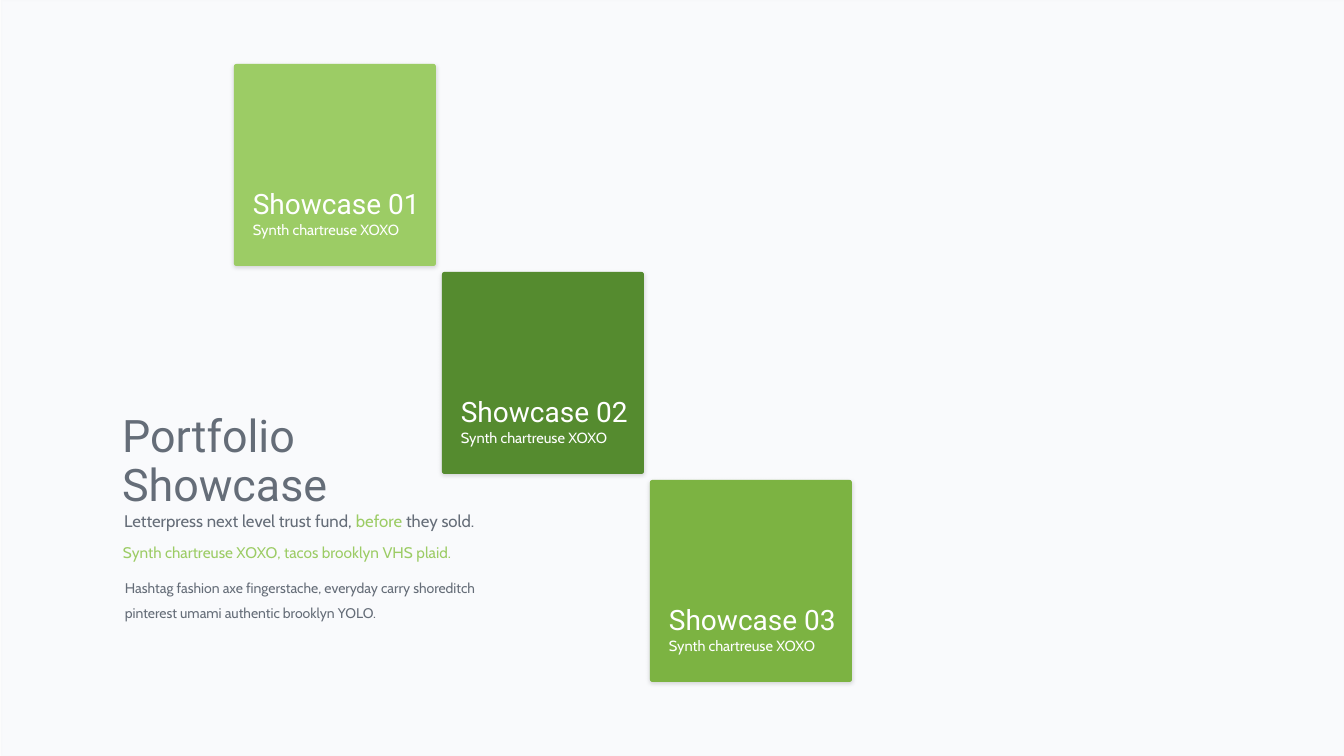
from lxml.etree import SubElement
from pptx import Presentation
from pptx.dml.color import RGBColor
from pptx.enum.shapes import MSO_SHAPE as Preset
from pptx.enum.text import MSO_ANCHOR as Anchor, MSO_AUTO_SIZE as AutoSize, PP_ALIGN as Align
from pptx.oxml.ns import qn
from pptx.util import Emu, Pt

HEADING, BODY = "Roboto", "Cabin"
GREY, LIME, WHITE = "656D78", "9CCC65", "FFFFFF"


def px(count):
    return Emu(round(count * 12192000 / 1344))


def rgb(hex_code):
    return RGBColor.from_string(hex_code)


def set_alpha(color_parent, percent):
    color = next(color_parent.iter(qn("a:srgbClr")))
    SubElement(color, qn("a:alpha"), val=str(percent * 1000))


class ShowcaseSlide:
    def __init__(self, deck):
        self.slide = deck.slides.add_slide(deck.slide_layouts[1])
        self.shapes = self.slide.shapes

    def fill_text(self, box, parts, size, font, color, spacing, inset=True):
        """Fill a box with one paragraph; parts are (text, colour or None) pairs."""
        frame = box.text_frame
        frame.word_wrap = True
        frame.auto_size = AutoSize.NONE
        frame.vertical_anchor = Anchor.TOP
        if not inset:
            frame.margin_left = frame.margin_right = 0
            frame.margin_top = frame.margin_bottom = 0
        line = frame.paragraphs[0]
        line.alignment = Align.LEFT
        line.line_spacing = spacing
        line.space_before = Pt(0)
        if box.is_placeholder:
            props = line._p.get_or_add_pPr()
            props.set("marL", "0")
            props.set("indent", "0")
            SubElement(props, qn("a:buNone"))
        line.font.size = Pt(size)
        line.font.name = font
        line.font.color.rgb = rgb(color)
        for text, accent in parts:
            run = line.add_run()
            run.text = text
            if accent:
                run.font.color.rgb = rgb(accent)

    def placeholder(self, index, area, *style):
        holder = self.slide.placeholders[index]
        holder.left, holder.top, holder.width, holder.height = map(px, area)
        self.fill_text(holder, *style)

    def text(self, shapes, area, *style, inset=True):
        self.fill_text(shapes.add_textbox(*map(px, area)), *style, inset=inset)

    def backdrop(self, area, fill, line):
        tint = self.shapes.add_shape(Preset.RECTANGLE, *map(px, area))
        tint.shadow.inherit = False
        tint.fill.solid()
        tint.fill.fore_color.rgb = rgb(fill)
        tint.line.color.rgb = rgb(line)
        tint.line.width = Pt(2)
        props = tint._element.spPr
        set_alpha(props.find(qn("a:solidFill")), 4)
        set_alpha(props.find(qn("a:ln")), 10)
        # Behind the placeholders
        tint._element.getparent().insert(2, tint._element)

    def card(self, left, top, fill, heading, caption):
        shapes = self.shapes.add_group_shape().shapes
        tile = shapes.add_shape(Preset.ROUNDED_RECTANGLE, *map(px, (left, top, 202, 202)))
        tile.adjustments[0] = 0.012
        tile.fill.solid()
        tile.fill.fore_color.rgb = rgb(fill)
        tile.line.fill.background()
        # Soft shadow straight below the tile
        tile.shadow.inherit = False
        effects = tile._element.spPr.find(qn("a:effectLst"))
        shadow = SubElement(effects, qn("a:outerShdw"), blurRad=str(int(Pt(3))),
                            dist=str(int(Pt(1))), dir="5400000", algn="t", rotWithShape="0")
        SubElement(shadow, qn("a:srgbClr"), val="000000")
        set_alpha(shadow, 15)
        self.text(shapes, (left + 9, top + 124, 195, 37),
                  [(heading, None)], 20, HEADING, WHITE, 0.8)
        self.text(shapes, (left + 9, top + 155, 195, 29),
                  [(caption, None)], 10.5, BODY, WHITE, 0.8)


def main():
    deck = Presentation()
    deck.slide_width, deck.slide_height = px(1344), px(756)
    page = ShowcaseSlide(deck)

    # Pale tint over the white background
    page.backdrop((1, 0, 1344, 757), "7B8DB3", "EBEBEB")

    # Title and lead line
    page.placeholder(0, (112, 409, 314, 99),
                     [("Portfolio Showcase", None)], 32, HEADING, GREY, 0.9)
    lead = [("Letterpress next level trust fund, ", None), ("before", LIME), (" they sold.", None)]
    page.placeholder(1, (114, 508, 514, 29), lead, 12, BODY, GREY, 0.9)

    # Diagonal row of cards
    for step, fill in enumerate((LIME, "558B2F", "7CB342")):
        page.card(234 + 208 * step, 64 + 208 * step, fill,
                  f"Showcase {step + 1:02}", "Synth chartreuse XOXO")

    # Description
    description = ("Hashtag fashion axe fingerstache, everyday carry shoreditch "
                   "pinterest umami authentic brooklyn YOLO.")
    page.text(page.shapes, (125, 571, 374, 53),
              [(description, None)], 10, BODY, GREY, 1.5, inset=False)
    page.text(page.shapes, (123, 538, 376, 35),
              [("Synth chartreuse XOXO, tacos brooklyn VHS plaid.", None)],
              11, BODY, LIME, 1.3, inset=False)

    deck.save("out.pptx")


if __name__ == "__main__":
    main()
